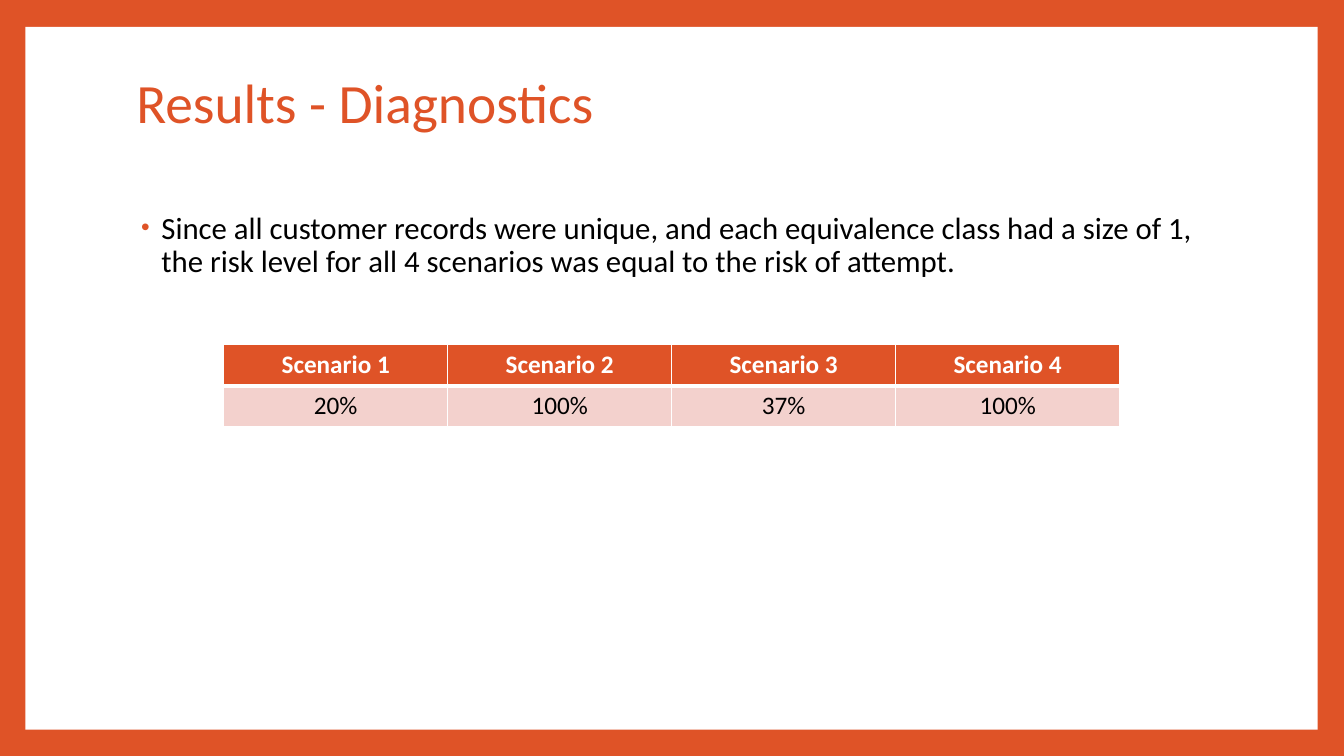
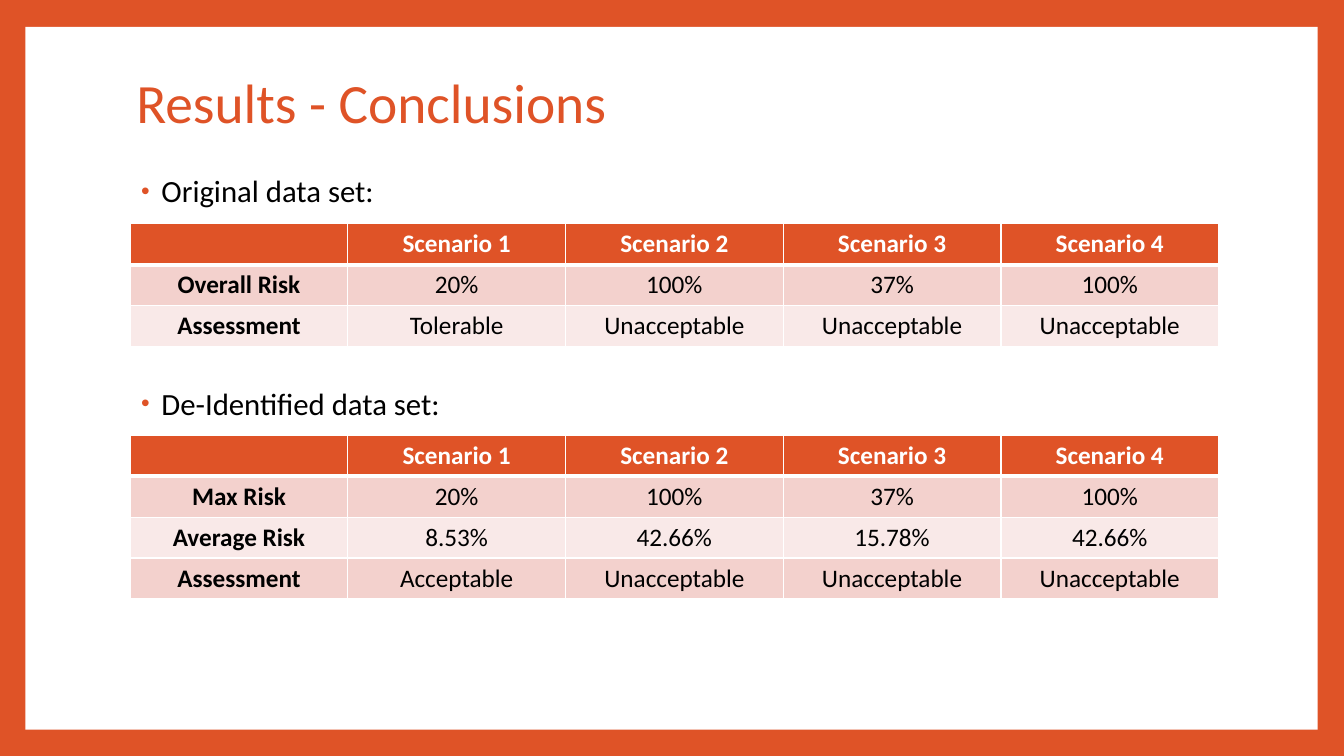
from pptx import Presentation
from pptx.dml.color import RGBColor
from pptx.enum.shapes import MSO_SHAPE
from pptx.enum.text import MSO_ANCHOR, PP_ALIGN
from pptx.oxml import parse_xml
from pptx.oxml.ns import nsdecls
from pptx.util import Cm, Pt

FONT = "Calibri"
ORANGE, WHITE, BLACK = "DF5327", "FFFFFF", "000000"
BANDS = ("F3D1CD", "F9E9E8")
LEFT, WIDTH = 3.18, 27.43
ROW_HEIGHT = 1.03
SCENARIOS = [f"Scenario {n}" for n in range(1, 5)]


def rgb(color):
    return RGBColor.from_string(color)


def write(tf, text, size, color=BLACK, bold=False, align=PP_ALIGN.LEFT, spacing=1.0):
    """Put one formatted run in the first paragraph and return the paragraph."""
    p = tf.paragraphs[0]
    p.alignment = align
    p.line_spacing = spacing
    r = p.add_run()
    r.text = text
    r.font.name = FONT
    r.font.size = Pt(size)
    r.font.bold = bold
    r.font.color.rgb = rgb(color)
    return p


def add_border(cell, side, width):
    cell._tc.get_or_add_tcPr().append(parse_xml(
        f'<a:ln{side} {nsdecls("a")} w="{Pt(width)}"><a:solidFill>'
        f'<a:srgbClr val="{WHITE}"/></a:solidFill></a:ln{side}>'))


class Deck:
    """Shared style of the slides, and the slide being built."""

    def __init__(self):
        self.prs = Presentation()
        self.prs.slide_width, self.prs.slide_height = Cm(33.87), Cm(19.05)
        fill = self.prs.slide_master.background.fill
        fill.solid()
        fill.fore_color.rgb = rgb(ORANGE)
        self.slide = None

    def add_slide(self, title):
        self.slide = self.prs.slides.add_slide(self.prs.slide_layouts[5])
        self.add_panel()
        sp = self.slide.shapes.title
        sp.left, sp.top, sp.width, sp.height = Cm(LEFT), Cm(1.7), Cm(WIDTH), Cm(1.9)
        sp.text_frame.vertical_anchor = MSO_ANCHOR.MIDDLE
        sp.text_frame.word_wrap = True
        write(sp.text_frame, title, 39.6, color=ORANGE, spacing=0.9)

    def add_panel(self):
        """White area inside the orange frame, behind everything else."""
        sp = self.slide.shapes.add_shape(
            MSO_SHAPE.RECTANGLE, Cm(0.64), Cm(0.68), Cm(32.57), Cm(17.71))
        sp.shadow.inherit = False
        sp.fill.solid()
        sp.fill.fore_color.rgb = rgb(WHITE)
        sp.line.fill.background()
        self.slide.shapes.element.insert(2, sp.element)

    def add_bullet(self, text, top, height=1.1):
        sp = self.slide.shapes.add_textbox(Cm(LEFT), Cm(top), Cm(WIDTH), Cm(height))
        tf = sp.text_frame
        tf.word_wrap = True
        pPr = write(tf, text, 22, spacing=0.9)._p.get_or_add_pPr()
        pPr.set("marL", str(Cm(0.64)))
        pPr.set("indent", str(-Cm(0.51)))
        for xml in (f'<a:buClr {nsdecls("a")}><a:srgbClr val="{ORANGE}"/></a:buClr>',
                    f'<a:buSzPct {nsdecls("a")} val="80000"/>',
                    f'<a:buFont {nsdecls("a")} typeface="Arial"/>',
                    f'<a:buChar {nsdecls("a")} char="•"/>'):
            pPr.append(parse_xml(xml))

    def add_table(self, rows, left, top, width, row_labels=False):
        n_cols = len(rows[0])
        table = self.slide.shapes.add_table(
            len(rows), n_cols, Cm(left), Cm(top), Cm(width),
            Cm(ROW_HEIGHT * len(rows))).table
        table.first_col = row_labels
        for col in table.columns:
            col.width = Cm(width / n_cols)
        for i, row in enumerate(rows):
            table.rows[i].height = Cm(ROW_HEIGHT)
            for j, text in enumerate(row):
                self.format_cell(table.cell(i, j), text, i, row_labels and j == 0)

    def format_cell(self, cell, text, row, is_label):
        header = row == 0
        for side in "LRTB":
            thick = (header and side == "B") or (row == 1 and side == "T")
            add_border(cell, side, 3 if thick else 1)
        cell.fill.solid()
        cell.fill.fore_color.rgb = rgb(ORANGE if header else BANDS[(row - 1) % 2])
        if text:
            write(cell.text_frame, text, 18, color=WHITE if header else BLACK,
                  bold=header or is_label, align=PP_ALIGN.CENTER)


def main():
    deck = Deck()
    overall = ["20%", "100%", "37%", "100%"]
    unacceptable = ["Unacceptable"] * 3

    deck.add_slide("Results - Diagnostics")
    deck.add_bullet("Since all customer records were unique, and each equivalence class "
                    "had a size of 1, the risk level for all 4 scenarios was equal to "
                    "the risk of attempt.", top=5.23, height=2)
    deck.add_table([SCENARIOS, overall], left=5.64, top=8.69, width=22.58)

    deck.add_slide("Results - Conclusions")
    header = ["", *SCENARIOS]
    deck.add_bullet("Original data set:", top=4.32)
    deck.add_table([header,
                    ["Overall Risk", *overall],
                    ["Assessment", "Tolerable", *unacceptable]],
                   left=3.28, top=5.64, width=WIDTH, row_labels=True)
    deck.add_bullet("De-Identified data set:", top=9.67)
    deck.add_table([header,
                    ["Max Risk", *overall],
                    ["Average Risk", "8.53%", "42.66%", "15.78%", "42.66%"],
                    ["Assessment", "Acceptable", *unacceptable]],
                   left=3.28, top=10.97, width=WIDTH, row_labels=True)

    deck.prs.save("out.pptx")


if __name__ == "__main__":
    main()
